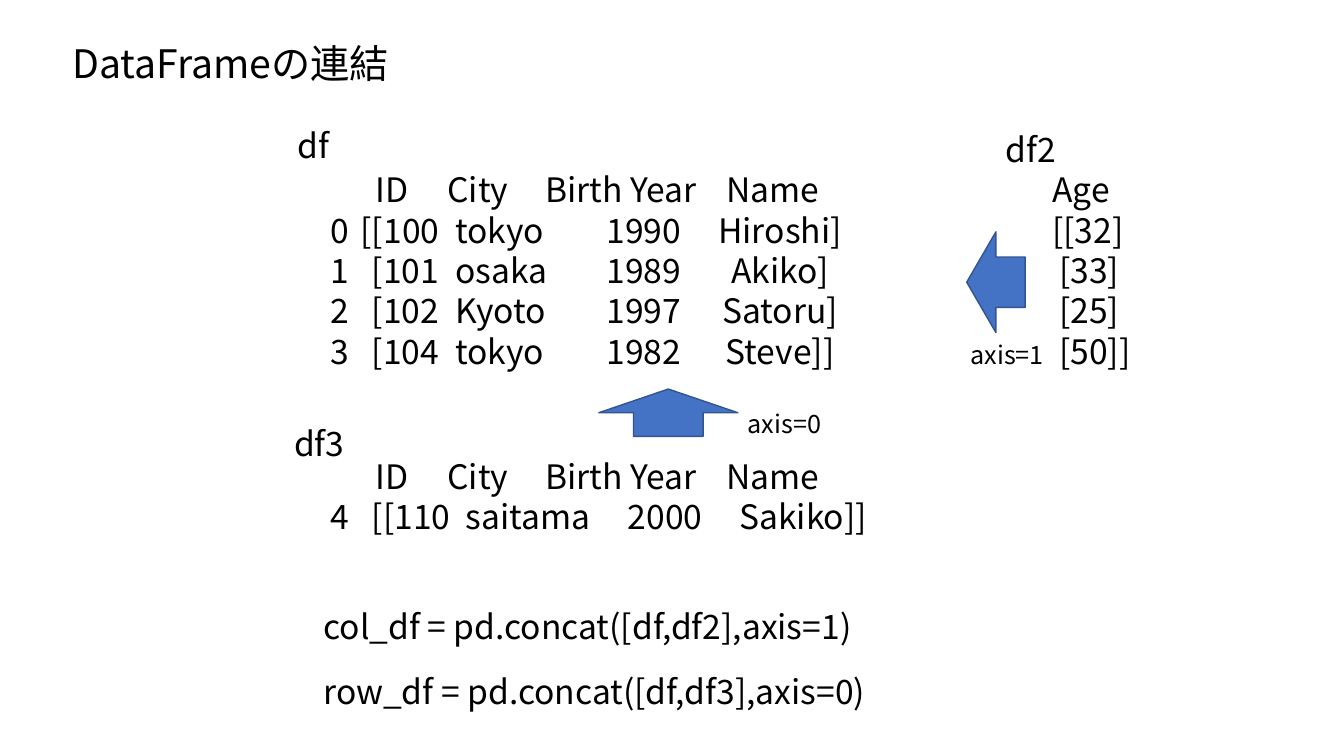
from lxml import etree
from pptx import Presentation
from pptx import util as u
from pptx.dml.color import RGBColor
from pptx.enum import shapes, text
from pptx.oxml.ns import qn

COLORS = {"ink": "000000", "arrow": "4472C4", "edge": "325491"}
FONT = "Noto Sans CJK JP"
CELL = 0.1
COLS, ROWS = 133.33, 75

HEAD_TABS = [("l", 4.5), ("l", 11.6), ("l", 21.3), ("ctr", 43.9)]
DF_TABS = [("r", 10.8), ("l", 12.4), ("l", 27.4), ("ctr", 44.6)]
DF3_TABS = [("r", 11.9), ("l", 13.4), ("l", 29.5), ("ctr", 46.9)]

HEADER = ["", "ID", "City", "Birth Year", "Name"]
DF = [
    ["0", "[[100", "tokyo", "1990", "Hiroshi]"],
    ["1", "[101", "osaka", "1989", "Akiko]"],
    ["2", "[102", "Kyoto", "1997", "Satoru]"],
    ["3", "[104", "tokyo", "1982", "Steve]]"],
]
DF3 = [["4", "[[110", "saitama", "2000", "Sakiko]]"]]
AGES = [("Age", 0), ("[[32]", 0), ("[33]", 0.7), ("[25]", 0.7), ("[50]]", 0.7)]

LABELS = [
    ("DataFrameの連結", 6.2, 3.4, 34.9, 5.7, 28),
    ("df", 28.5, 11.9, 5.2, 5, 24),
    ("df2", 98.8, 12.3, 7.3, 5, 24),
    ("df3", 28.2, 41.5, 7.3, 5, 24),
    ("axis=1", 95.3, 33.2, 10.4, 4, 18),
    ("axis=0", 73.2, 40, 10.4, 4, 18),
    ("col_df = pd.concat([df,df2],axis=1)", 31.1, 59.6, 62.7, 5, 24),
    ("row_df = pd.concat([df,df3],axis=0)", 31.1, 66.1, 64.3, 5, 24),
]
ARROWS = [
    (shapes.MSO_SHAPE.UP_ARROW, 59.4, 38.6, 13.8, 4.7),
    (shapes.MSO_SHAPE.LEFT_ARROW, 95.9, 23, 5.8, 10),
]


def grid(n):
    return u.Inches(n * CELL)


def rgb(name):
    return RGBColor.from_string(COLORS[name])


class Deck:
    def __init__(self):
        self.prs = Presentation()
        self.prs.slide_width, self.prs.slide_height = grid(COLS), grid(ROWS)
        self.s = self.prs.slides.add_slide(self.prs.slide_layouts[6])

    def box(self, x, y, w, h):
        tf = self.s.shapes.add_textbox(*map(grid, (x, y, w, h))).text_frame
        style = {"word_wrap": True, "margin_right": 0,
                 "auto_size": text.MSO_AUTO_SIZE.NONE}
        for key, value in style.items():
            setattr(tf, key, value)
        return tf

    def line(self, p, words, size=24, tabs=(), indent=0):
        p.line_spacing = u.Pt(size * 1.2)
        ppr = p._p.get_or_add_pPr()
        if indent:
            ppr.set("marL", str(grid(indent)))
        if tabs:
            stops = etree.SubElement(ppr, qn("a:tabLst"))
            for align, pos in tabs:
                etree.SubElement(stops, qn("a:tab"), pos=str(grid(pos)), algn=align)
        r = p.add_run()
        r.text = words
        for key, value in {"name": FONT, "size": u.Pt(size)}.items():
            setattr(r.font, key, value)
        r.font.color.rgb = rgb("ink")
        etree.SubElement(r._r.get_or_add_rPr(), qn("a:ea"), typeface=FONT)

    def lines(self, x, y, w, h, rows):
        tf = self.box(x, y, w, h)
        for i, row in enumerate(rows):
            p = tf.add_paragraph() if i else tf.paragraphs[0]
            self.line(p, **row)

    def frame(self, x, y, w, h, records, tabs):
        rows = [{"words": "\t".join(HEADER), "tabs": HEAD_TABS}]
        rows += [{"words": "\t".join(rec), "tabs": tabs} for rec in records]
        self.lines(x, y, w, h, rows)

    def arrow(self, kind, x, y, w, h):
        sp = self.s.shapes.add_shape(kind, *map(grid, (x, y, w, h)))
        sp.shadow.inherit = False
        sp.fill.solid()
        sp.fill.fore_color.rgb = rgb("arrow")
        sp.line.color.rgb = rgb("edge")
        sp.line.width = u.Pt(1)


def main():
    deck = Deck()
    deck.frame(31.8, 16.3, 68.3, 21.2, DF, DF_TABS)
    deck.frame(31.8, 44.7, 68.6, 9.1, DF3, DF3_TABS)
    deck.lines(103.4, 16.3, 11.7, 25.2,
               [{"words": words, "indent": indent} for words, indent in AGES])
    for arrow in ARROWS:
        deck.arrow(*arrow)
    for words, x, y, w, h, size in LABELS:
        deck.lines(x, y, w, h, [{"words": words, "size": size}])
    deck.prs.save("out.pptx")


if __name__ == "__main__":
    main()
